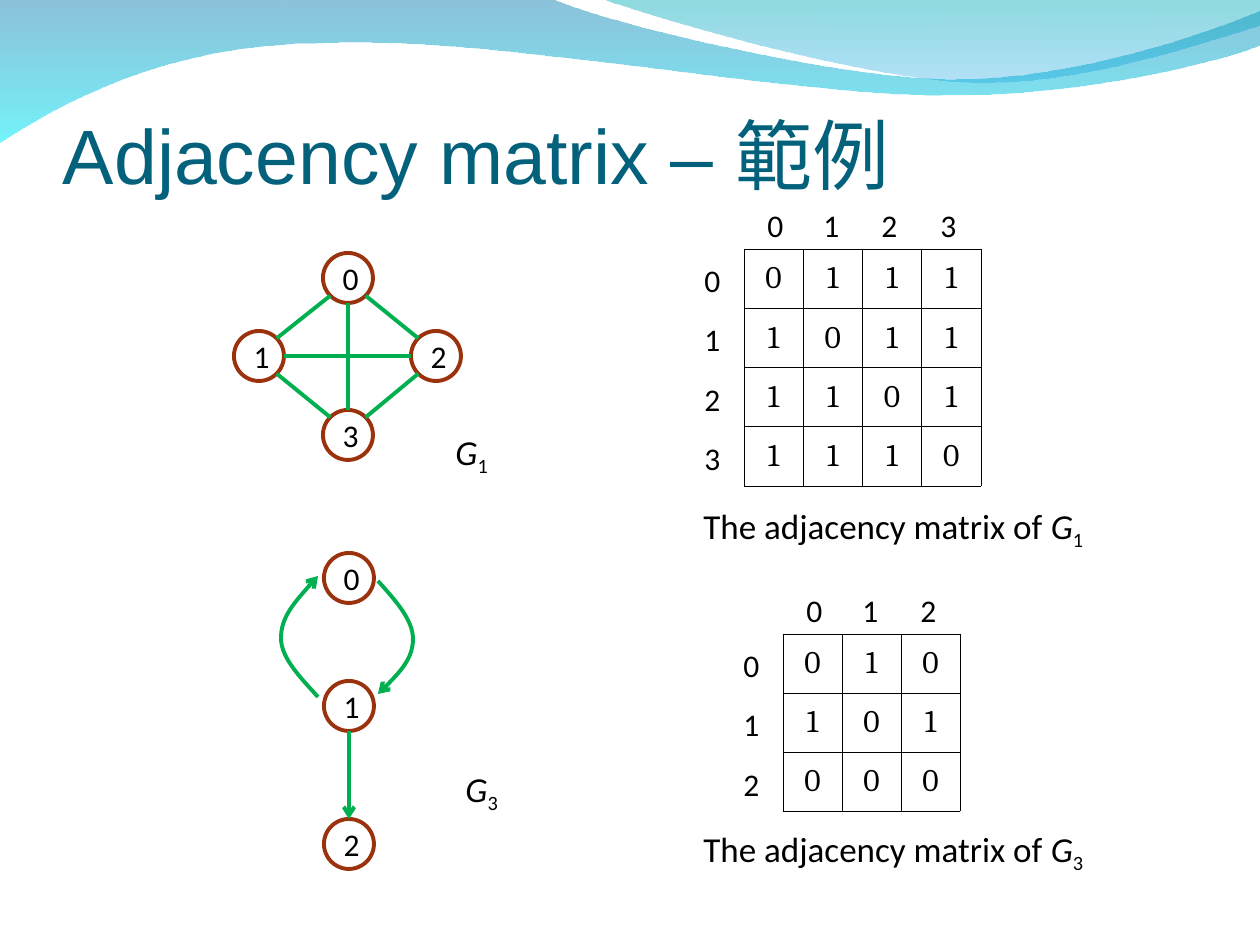
from dataclasses import dataclass
from math import hypot

from lxml import etree
from pptx import Presentation
from pptx.dml.color import RGBColor
from pptx.enum.shapes import MSO_CONNECTOR, MSO_SHAPE
from pptx.enum.text import MSO_ANCHOR, PP_ALIGN
from pptx.oxml.ns import qn
from pptx.util import Emu, Pt

STRAIGHT = MSO_CONNECTOR.STRAIGHT
ELLIPSE = MSO_SHAPE.OVAL
MIDDLE, BOTTOM = MSO_ANCHOR.MIDDLE, MSO_ANCHOR.BOTTOM
CENTER = PP_ALIGN.CENTER
EMU_PER_PX = 914400 / 126


@dataclass(frozen=True)
class Theme:
    title: str = "04617B"
    ink: str = "000000"
    node: str = "9B320E"
    edge: str = "00B050"
    title_font: str = "Arial"
    body_font: str = "Calibri"
    matrix_font: str = "Cambria"
    title_size: float = 44
    caption_size: float = 20
    digit_size: float = 18
    stroke: float = 2.25
    border: float = 0.45


@dataclass(frozen=True)
class Wave:
    start: tuple
    segments: tuple
    stops: tuple


@dataclass(frozen=True)
class Arc:
    start: tuple
    segments: tuple
    arrow: str


@dataclass(frozen=True)
class Edge:
    start: int
    end: int
    direction: tuple
    arrow: str = ""


@dataclass(frozen=True)
class Graph:
    index: str
    label_at: tuple
    centers: tuple
    edges: tuple


@dataclass(frozen=True)
class Matrix:
    index: str
    left: int
    top: int
    side: int
    caption_top: int
    rows: tuple


THEME = Theme()
NODE_SIZE = 50
COLUMN_TABS = (56, 114, 173)

WAVES = (
    Wave((0, 0),
         (((554, 0),),
          ((600, 21), (837, 79), (955, 79)),
          ((1075, 79), (1207, 33), (1260, 11)),
          ((1260, 45),),
          ((1239, 55), (1096, 96), (940, 95)),
          ((784, 95), (481, 35), (324, 43)),
          ((163, 44), (58, 105), (0, 142))),
         (("0079AF", 45), ("00EBF8", 55))),
    Wave((604, 0),
         (((641, 14), (859, 78), (969, 82)),
          ((1079, 87), (1211, 40), (1260, 26)),
          ((1260, 0),)),
         (("00ADB6", 45), ("009BE5", 30))),
)
GRAPHS = (
    Graph("1", (443, 424), ((348, 278), (259, 356), (436, 356), (348, 435)),
          (Edge(0, 3, (0, 1)), Edge(1, 2, (1, 0)), Edge(0, 1, (-1, 1)),
           Edge(0, 2, (1, 1)), Edge(1, 3, (1, 1)), Edge(2, 3, (-1, 1)))),
    Graph("3", (453, 761), ((349, 578), (349, 706), (349, 844)),
          (Edge(1, 2, (0, 1), "tailEnd"),)),
)
ARCS = (
    Arc((318, 576), (((300, 596), (281, 617), (281, 638)),
                     ((281, 658), (300, 677), (318, 697))), "headEnd"),
    Arc((378, 581), (((396, 601), (413, 620), (413, 639)),
                     ((413, 658), (396, 677), (378, 694))), "tailEnd"),
)
MATRICES = (
    Matrix("1", 744, 249, 237, 498, ("0111", "1011", "1101", "1110")),
    Matrix("3", 783, 634, 177, 821, ("010", "101", "000")),
)


def px(length: float) -> Emu:
    return Emu(round(length * EMU_PER_PX))


def rgb(color: str) -> RGBColor:
    return RGBColor.from_string(color)


def style(paragraph, size: float, font: str = THEME.body_font, color: str = THEME.ink) -> None:
    paragraph.font.size = Pt(size)
    paragraph.font.name = font
    paragraph.font.color.rgb = rgb(color)


def add_frame(slide, left: int, top: int, width: int, height: int):
    frame = slide.shapes.add_textbox(px(left), px(top), px(width), px(height)).text_frame
    frame.word_wrap = True
    return frame


def add_graph_name(slide, left: int, top: int, width: int, index: str, lead: str = "") -> None:
    paragraph = add_frame(slide, left, top, width, 60).paragraphs[0]
    style(paragraph, THEME.caption_size)
    if lead:
        paragraph.add_run().text = lead
    letter = paragraph.add_run()
    letter.text = "G"
    letter.font.italic = True
    subscript = paragraph.add_run()
    subscript.text = index
    subscript._r.get_or_add_rPr().set("baseline", "-25000")


def set_stroke(shape, color: str, arrow: str = "") -> None:
    shape.line.color.rgb = rgb(color)
    shape.line.width = Pt(THEME.stroke)
    if arrow:
        etree.SubElement(shape.line._get_or_add_ln(), qn(f"a:{arrow}"), type="arrow")


def add_outline(slide, start: tuple, segments: tuple, close: bool):
    builder = slide.shapes.build_freeform(*map(px, start), scale=1.0)
    corners = [(px(x), px(y)) for segment in segments for x, y in segment]
    builder.add_line_segments(corners, close=close)
    shape = builder.convert_to_shape()
    shape.shadow.inherit = False
    lines = iter(list(shape._element.iter(qn("a:lnTo"))))
    for segment in segments:
        first, *others = [next(lines) for _ in segment]
        if others:
            curve = etree.Element(qn("a:cubicBezTo"))
            first.addprevious(curve)
            for line in (first, *others):
                curve.append(line[0])
                line.getparent().remove(line)
    return shape


def add_wave(slide, wave: Wave) -> None:
    shape = add_outline(slide, wave.start, wave.segments, True)
    shape.line.fill.background()
    shape.fill.gradient()
    shape.fill.gradient_angle = 270
    for stop, (color, _) in zip(shape.fill.gradient_stops, wave.stops):
        stop.color.rgb = rgb(color)
    colors = list(shape._element.spPr.iter(qn("a:srgbClr")))
    for element, (_, opacity) in zip(colors, wave.stops):
        etree.SubElement(element, qn("a:alpha"), val=str(opacity * 1000))


def add_arc(slide, arc: Arc) -> None:
    shape = add_outline(slide, arc.start, arc.segments, False)
    shape.fill.background()
    set_stroke(shape, THEME.edge, arc.arrow)


def add_graph(slide, graph: Graph) -> None:
    group = slide.shapes.add_group_shape()
    radius = NODE_SIZE / 2
    for number, (x, y) in enumerate(graph.centers):
        node = group.shapes.add_shape(ELLIPSE, px(x - radius), px(y - radius),
                                      px(NODE_SIZE), px(NODE_SIZE))
        node.shadow.inherit = False
        node.fill.background()
        set_stroke(node, THEME.node)
        paragraph = node.text_frame.paragraphs[0]
        paragraph.text = str(number)
        paragraph.alignment = CENTER
        style(paragraph, THEME.digit_size)
    for edge in graph.edges:
        (x1, y1), (x2, y2) = graph.centers[edge.start], graph.centers[edge.end]
        dx, dy = (radius * d / hypot(*edge.direction) for d in edge.direction)
        line = group.shapes.add_connector(STRAIGHT, px(x1 + dx), px(y1 + dy),
                                          px(x2 - dx), px(y2 - dy))
        set_stroke(line, THEME.edge, edge.arrow)
        etree.SubElement(line._element.spPr, qn("a:effectLst"))
    add_graph_name(slide, *graph.label_at, 70, graph.index)


def set_borders(cell) -> None:
    properties = cell._tc.get_or_add_tcPr()
    for position, side in enumerate(("lnL", "lnR", "lnT", "lnB")):
        border = etree.Element(qn(f"a:{side}"), w=str(Pt(THEME.border)))
        fill = etree.SubElement(border, qn("a:solidFill"))
        etree.SubElement(fill, qn("a:srgbClr"), val=THEME.ink)
        properties.insert(position, border)


def add_matrix(slide, matrix: Matrix) -> None:
    count = len(matrix.rows)
    side = px(matrix.side)
    table = slide.shapes.add_table(count, count, px(matrix.left), px(matrix.top),
                                   side, side).table
    table.first_row = table.horz_banding = False
    for i, row in enumerate(matrix.rows):
        for j, value in enumerate(row):
            cell = table.cell(i, j)
            cell.fill.background()
            cell.vertical_anchor = MIDDLE
            set_borders(cell)
            paragraph = cell.text_frame.paragraphs[0]
            paragraph.text = value
            paragraph.alignment = CENTER
            style(paragraph, THEME.digit_size, THEME.matrix_font)

    indices = [str(i) for i in range(count)]
    header = add_frame(slide, matrix.left + 11, matrix.top - 49, matrix.side, 50).paragraphs[0]
    header.text = "\t".join(indices)
    tabs = etree.SubElement(header._p.get_or_add_pPr(), qn("a:tabLst"))
    for position in COLUMN_TABS[:count - 1]:
        etree.SubElement(tabs, qn("a:tab"), pos=str(px(position)), algn="l")
    style(header, THEME.digit_size)

    row_labels = add_frame(slide, matrix.left - 52, matrix.top + 4, 49, matrix.side - 6)
    for i, index in enumerate(indices):
        paragraph = row_labels.add_paragraph() if i else row_labels.paragraphs[0]
        paragraph.text = index
        paragraph.line_spacing = 1.05
        if i:
            paragraph.space_before = Pt(11.2)
        style(paragraph, THEME.digit_size)
    add_graph_name(slide, 691, matrix.caption_top, 430, matrix.index, "The adjacency matrix of ")


def add_title(slide) -> None:
    frame = add_frame(slide, 63, 106, 1134, 94)
    frame.margin_left = frame.margin_right = frame.margin_bottom = 0
    frame.vertical_anchor = BOTTOM
    frame.text = "Adjacency matrix – 範例"
    style(frame.paragraphs[0], THEME.title_size, THEME.title_font, THEME.title)


def main() -> None:
    presentation = Presentation()
    presentation.slide_width, presentation.slide_height = px(1260), px(945)
    slide = presentation.slides.add_slide(presentation.slide_layouts[6])
    for wave in WAVES:
        add_wave(slide, wave)
    add_title(slide)
    for matrix in MATRICES:
        add_matrix(slide, matrix)
    for graph in GRAPHS:
        add_graph(slide, graph)
    for arc in ARCS:
        add_arc(slide, arc)
    presentation.save("out.pptx")


if __name__ == "__main__":
    main()
